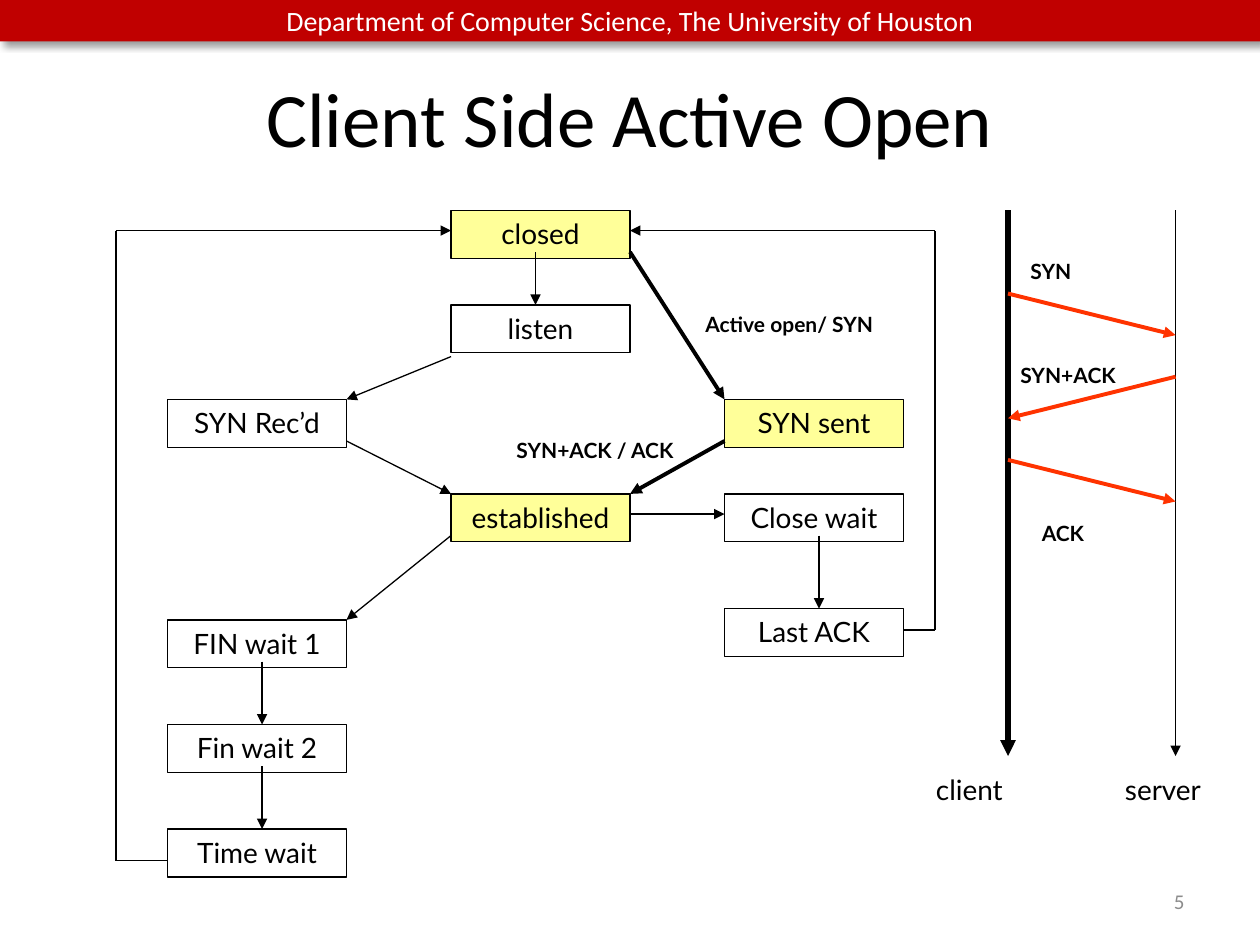
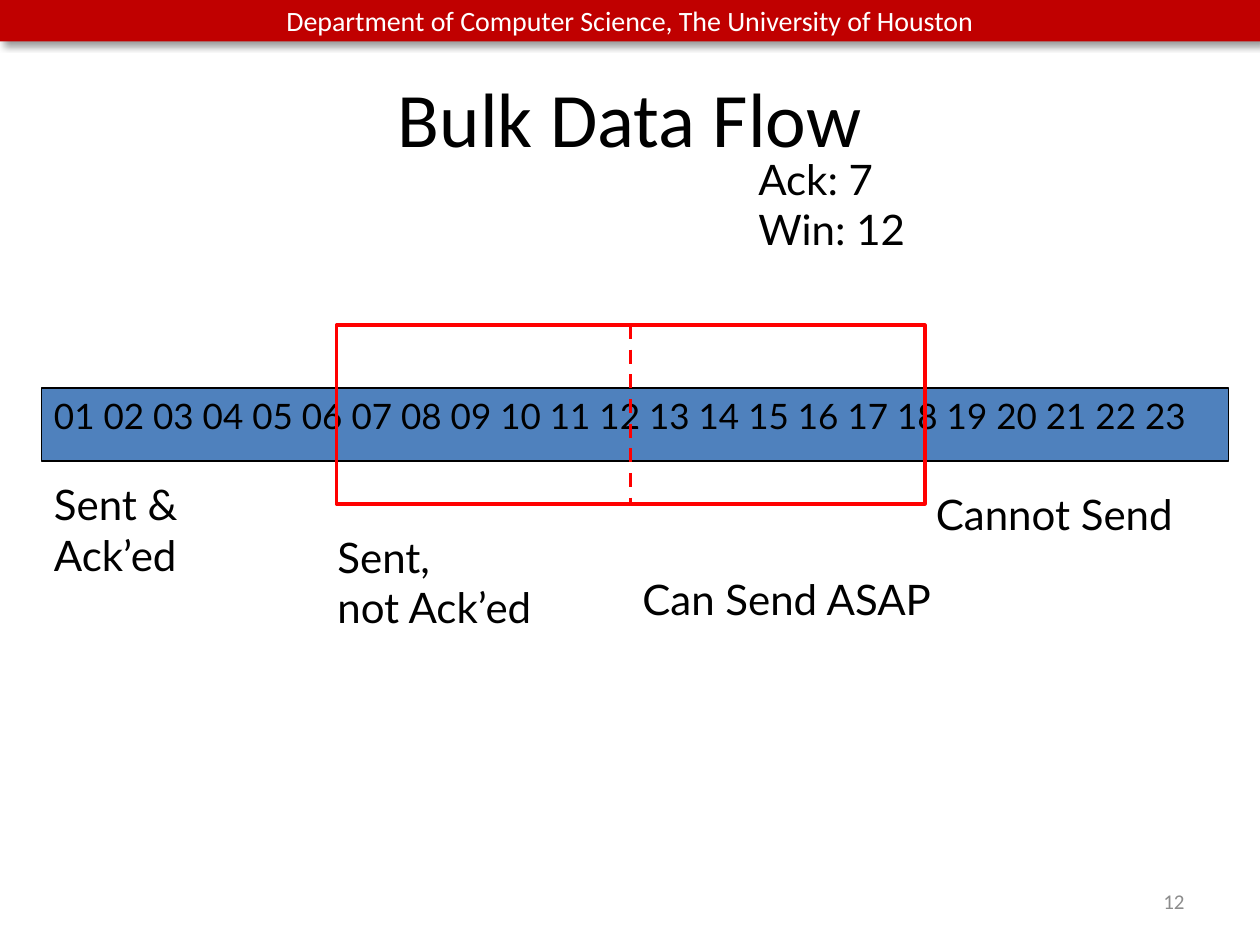
import pptx
import pptx.dml.color
import pptx.enum.dml
import pptx.enum.shapes
import pptx.enum.text
import pptx.oxml
import pptx.oxml.ns
import pptx.util

Inches = pptx.util.Inches
Align = pptx.enum.text.PP_ALIGN
Anchor = pptx.enum.text.MSO_ANCHOR

COLORS = {
    "band": "C00000",
    "white": "FFFFFF",
    "ink": "000000",
    "number": "8C8C8C",
    "active": "FFFF99",
    "message": "FF3300",
    "strip": "4F81BD",
    "window": "FF0000",
}
THEME_FONT = "Calibri"
BODY_FONT = "Lato"
THIN, BOLD, HEAVY = 0.75, 2.25, 3
STATE_WIDTH, STATE_HEIGHT = 1.42, 0.38
EXIT_DROP = 0.33


def rgb(name):
    return pptx.dml.color.RGBColor.from_string(COLORS[name])


def set_text(shape, text, size, font=BODY_FONT, color="ink", bold=False,
             align=Align.LEFT, anchor=Anchor.TOP):
    frame = shape.text_frame
    frame.word_wrap = True
    frame.vertical_anchor = anchor
    frame.text = text
    for paragraph in frame.paragraphs:
        paragraph.alignment = align
        for run in paragraph.runs:
            run.font.size = pptx.util.Pt(size)
            run.font.name = font
            run.font.bold = bold
            run.font.color.rgb = rgb(color)


def add_label(slide, left, top, width, height, text, size, **style):
    box = slide.shapes.add_textbox(
        Inches(left), Inches(top), Inches(width), Inches(height))
    set_text(box, text, size, **style)


def add_box(slide, left, top, width, height, fill=None, line=None, weight=THIN):
    shape = slide.shapes.add_shape(
        pptx.enum.shapes.MSO_SHAPE.RECTANGLE,
        Inches(left), Inches(top), Inches(width), Inches(height))
    shape.shadow.inherit = False
    if fill:
        shape.fill.solid()
        shape.fill.fore_color.rgb = rgb(fill)
    else:
        shape.fill.background()
    if line:
        shape.line.color.rgb = rgb(line)
        shape.line.width = pptx.util.Pt(weight)
    else:
        shape.line.fill.background()
    return shape


def add_line(slide, start, end, weight=THIN, color="ink", arrow=True, dashed=False):
    connector = slide.shapes.add_connector(
        pptx.enum.shapes.MSO_CONNECTOR.STRAIGHT,
        *(Inches(value) for value in (*start, *end)))
    connector.line.color.rgb = rgb(color)
    connector.line.width = pptx.util.Pt(weight)
    if dashed:
        connector.line.dash_style = pptx.enum.dml.MSO_LINE.DASH
    if arrow:
        tail = pptx.oxml.parse_xml(
            f'<a:tailEnd {pptx.oxml.ns.nsdecls("a")} type="triangle"/>')
        connector.line._get_or_add_ln().append(tail)
    connector._element.spPr.append(
        pptx.oxml.parse_xml(f'<a:effectLst {pptx.oxml.ns.nsdecls("a")}/>'))


def add_band(slide, left, top, width, height):
    band = add_box(slide, left, top, width, height, fill="band")
    effects = band._element.spPr.find(pptx.oxml.ns.qn("a:effectLst"))
    effects.append(pptx.oxml.parse_xml(
        f'<a:outerShdw {pptx.oxml.ns.nsdecls("a")} blurRad="50800" dist="38100" '
        f'dir="2700000" algn="tl" rotWithShape="0"><a:srgbClr val="{COLORS["ink"]}">'
        '<a:alpha val="40000"/></a:srgbClr></a:outerShdw>'))
    set_text(band, "Department of Computer Science, The University of Houston", 16,
             font=THEME_FONT, color="white", align=Align.CENTER, anchor=Anchor.MIDDLE)


def add_slide(presentation, title, number):
    slide = presentation.slides.add_slide(presentation.slide_layouts[6])
    add_band(slide, 0, 0, 10, 0.33)
    add_label(slide, 0.5, 0.3, 9, 1.25, title, 44, font=THEME_FONT,
              align=Align.CENTER, anchor=Anchor.MIDDLE)
    add_label(slide, 7.17, 6.95, 2.33, 0.4, str(number), 12, font=THEME_FONT,
              color="number", align=Align.RIGHT, anchor=Anchor.MIDDLE)
    return slide


def add_state_diagram(slide, left, top, width):
    right = left + width
    west, middle, east = left + 0.41, left + 2.66, left + 4.83
    states = {
        "closed": (middle, 0),
        "listen": (middle, 0.75),
        "SYN Rec’d": (west, 1.5),
        "established": (middle, 2.25),
        "SYN sent": (east, 1.5),
        "Close wait": (east, 2.25),
        "Last ACK": (east, 3.16),
        "FIN wait 1": (west, 3.25),
        "Fin wait 2": (west, 4.08),
        "Time wait": (west, 4.91),
    }
    active_states = ("closed", "SYN sent", "established")
    transitions = [
        ("closed", "listen"), ("closed", "SYN sent"),
        ("listen", "SYN Rec’d"), ("SYN Rec’d", "established"),
        ("SYN sent", "established"), ("established", "Close wait"),
        ("Close wait", "Last ACK"), ("established", "FIN wait 1"),
        ("FIN wait 1", "Fin wait 2"), ("Fin wait 2", "Time wait"),
    ]

    for name, (x, y) in states.items():
        fill = "active" if name in active_states else None
        state = add_box(slide, x, top + y, STATE_WIDTH, STATE_HEIGHT, fill, "ink")
        set_text(state, name, 16, align=Align.CENTER)

    for source, target in transitions:
        (x1, y1), (x2, y2) = states[source], states[target]
        exit_drop, entry_drop = EXIT_DROP, 0
        if x1 == x2:
            x1 = x2 = x1 + (0.67 if x1 == middle else 0.75)
        elif x1 < x2:
            x1 += STATE_WIDTH
        else:
            x2 += STATE_WIDTH
        if y1 == y2:
            exit_drop = entry_drop = 0.16
        elif source == "listen":
            exit_drop = 0.41
        on_path = source in active_states and target in active_states
        add_line(slide, (x1, top + y1 + exit_drop), (x2, top + y2 + entry_drop),
                 BOLD if on_path else THIN)

    return_y = top + 0.16
    loops = [
        (left, west, top + 5.16, middle),
        (right, east + STATE_WIDTH, top + 3.33, middle + STATE_WIDTH),
    ]
    for side, state_edge, exit_y, closed_edge in loops:
        add_line(slide, (state_edge, exit_y), (side, exit_y), arrow=False)
        add_line(slide, (side, exit_y), (side, return_y), arrow=False)
        add_line(slide, (side, return_y), (closed_edge, return_y))

    add_label(slide, left + 3.08, top + 1.75, 1.58, 0.3, "SYN+ACK / ACK", 12, bold=True)
    add_label(slide, left + 4.58, top + 0.75, 1.83, 0.3, "Active open/ SYN", 12, bold=True)


def add_handshake(slide, left, top, width, height):
    client, server = left, left + width
    bottom = top + height
    for x, weight, name, shift in ((client, HEAVY, "client", 0.67),
                                   (server, THIN, "server", 0.5)):
        add_line(slide, (x, top), (x, bottom), weight)
        add_label(slide, x - shift, bottom + 0.08, 0.92, 0.37, name, 16)

    messages = [
        ("SYN", client, server, 0.08, 0.33),
        ("SYN+ACK", server, client, 0, 1.16),
        ("ACK", client, server, 0.17, 2.41),
    ]
    for index, (name, sender, receiver, label_x, label_y) in enumerate(messages):
        y = top + 0.66 * (index + 1)
        add_line(slide, (sender, y), (receiver, y + 0.33), BOLD, "message")
        add_label(slide, left + label_x, top + label_y, 1.17, 0.3, name, 12, bold=True)


def add_sequence_strip(slide, left, top, width, height):
    strip = add_box(slide, left, top, width, height, "strip", "ink")
    set_text(strip, " ".join(f"{number:02}" for number in range(1, 24)), 20)
    captions = [
        (0, 0.67, "Sent &\nAck’ed"),
        (2.25, 1.09, "Sent,\nnot Ack’ed"),
        (4.67, 1.42, "Can Send ASAP"),
        (7, 0.75, "Cannot Send"),
        (5.59, -1.91, "Ack: 7\nWin: 12"),
    ]
    for x, y, text in captions:
        lines = text.count("\n") + 1
        add_label(slide, left + x, top + y, 2.5, 0.1 + 0.4 * lines, text, 24)


def add_window(slide, left, top, width, height):
    add_box(slide, left, top, width, height, line="window", weight=2)
    center = left + width / 2
    add_line(slide, (center, top), (center, top + height), 2, "window",
             arrow=False, dashed=True)


def main():
    presentation = pptx.Presentation()
    presentation.slide_width = Inches(10)
    presentation.slide_height = Inches(7.5)

    slide = add_slide(presentation, "Client Side Active Open", 5)
    add_state_diagram(slide, 0.92, 1.67, 6.5)
    add_handshake(slide, 8, 1.67, 1.33, 4.33)

    slide = add_slide(presentation, "Bulk Data Flow", 12)
    add_sequence_strip(slide, 0.33, 3.08, 9.42, 0.58)
    add_window(slide, 2.67, 2.58, 4.67, 1.42)

    presentation.save("out.pptx")


if __name__ == "__main__":
    main()
